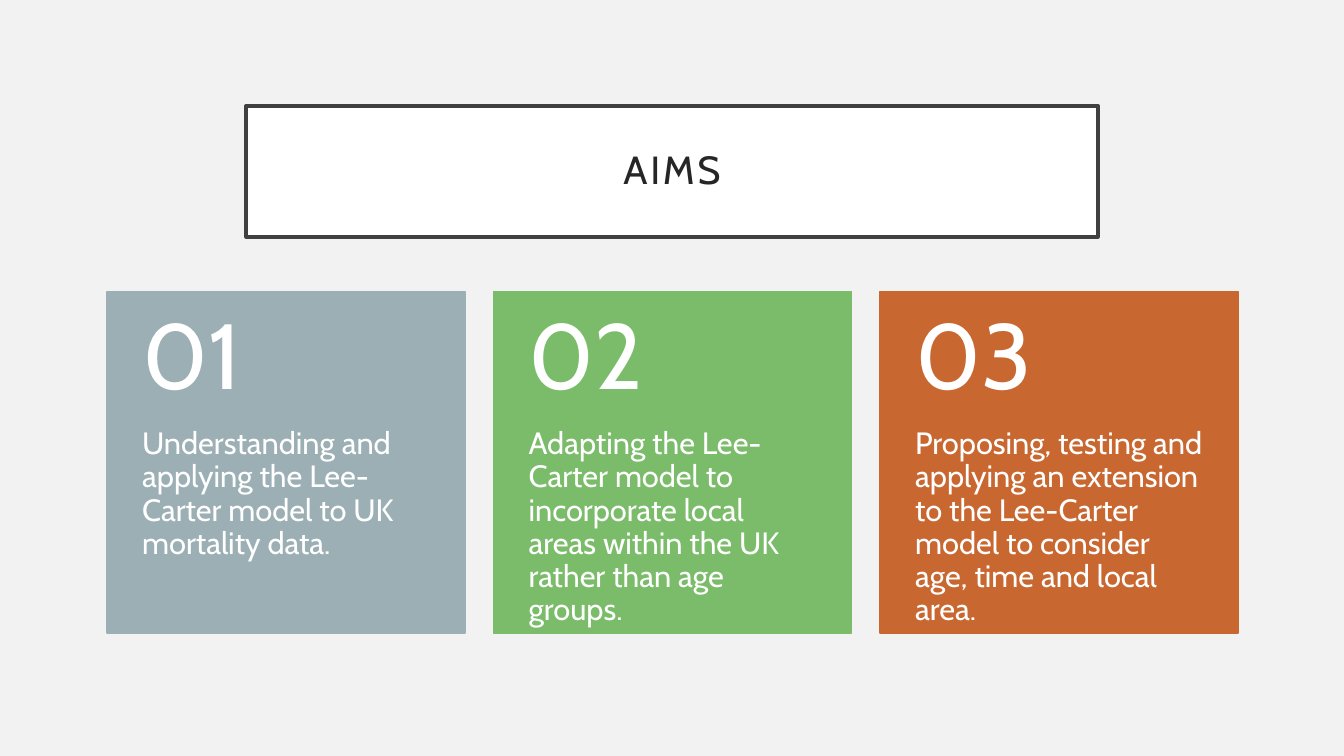
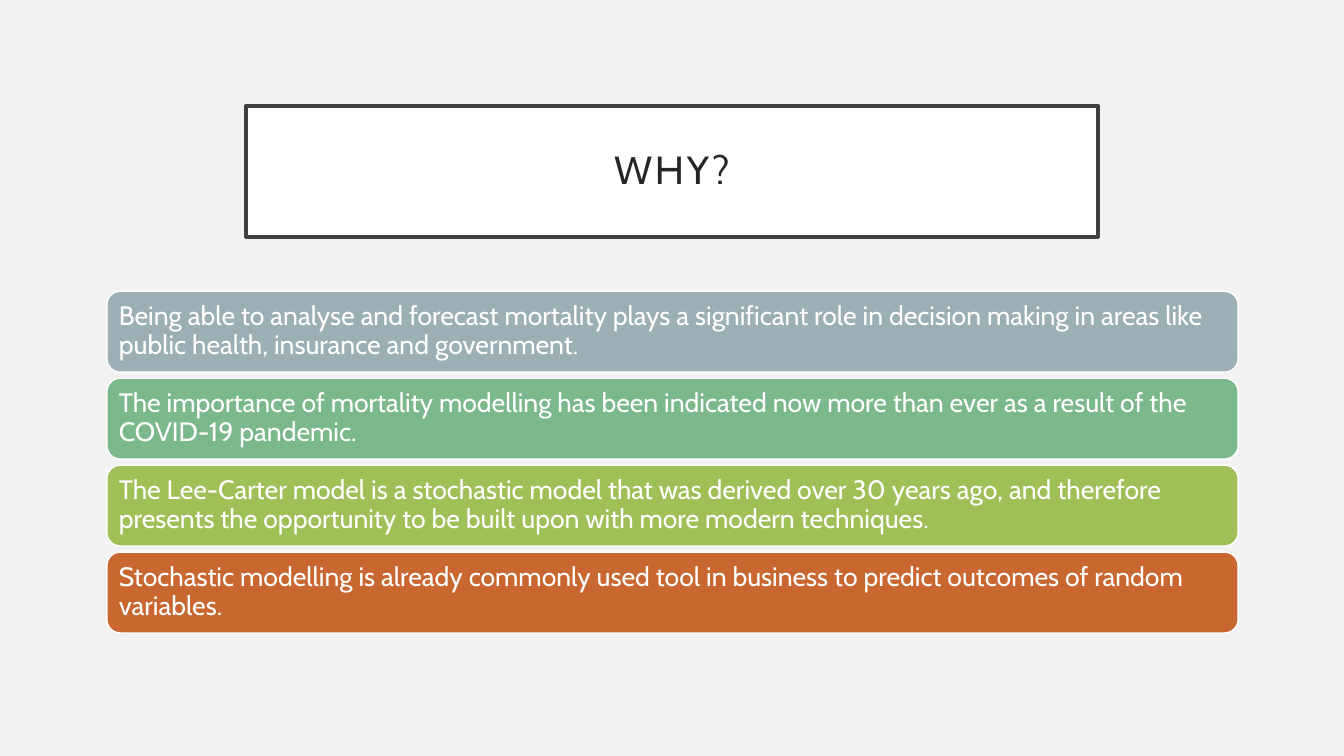
import pptx
import pptx.dml.color
import pptx.enum.shapes
import pptx.enum.text
import pptx.util

SHAPES = pptx.enum.shapes.MSO_SHAPE
ANCHOR = pptx.enum.text.MSO_ANCHOR
ALIGN = pptx.enum.text.PP_ALIGN

AIMS = [
    ("9BAFB5", "Understanding and applying the Lee-Carter model to UK mortality data."),
    ("7ABC69", "Adapting the Lee-Carter model to incorporate local areas within the UK rather than age groups."),
    ("C96731", "Proposing, testing and applying an extension to the Lee-Carter model to consider age, time and local area."),
]
REASONS = [
    ("9BAFB5", "Being able to analyse and forecast mortality plays a significant role in decision making in areas like public health, insurance and government."),
    ("7BB88C", "The importance of mortality modelling has been indicated now more than ever as a result of the COVID-19 pandemic."),
    ("9FC057", "The Lee-Carter model is a stochastic model that was derived over 30 years ago, and therefore presents the opportunity to be built upon with more modern techniques."),
    ("C96731", "Stochastic modelling is already commonly used tool in business to predict outcomes of random variables."),
]


def color(value):
    return pptx.dml.color.RGBColor.from_string(value)


def paint(shape, fill, line, line_width):
    shape.fill.solid()
    shape.fill.fore_color.rgb = color(fill)
    shape.line.color.rgb = color(line)
    shape.line.width = pptx.util.Pt(line_width)


def write(shape, text, size, ink="FFFFFF", font="Cabin", align=ALIGN.LEFT,
          anchor=ANCHOR.MIDDLE, insets=(0, 0, 0, 0), tracking=0):
    frame = shape.text_frame
    frame.word_wrap = True
    frame.auto_size = pptx.enum.text.MSO_AUTO_SIZE.NONE
    frame.vertical_anchor = anchor
    (frame.margin_left, frame.margin_top,
     frame.margin_right, frame.margin_bottom) = map(pptx.util.Inches, insets)
    paragraph = frame.paragraphs[0]
    paragraph.alignment = align
    paragraph.line_spacing = 0.9
    run = paragraph.add_run()
    run.text = text
    run.font.name = font
    run.font.size = pptx.util.Pt(size)
    run.font.color.rgb = color(ink)
    if tracking:
        run.font._element.set("spc", str(tracking * 100))


class Deck:
    width, height = 13.33, 7.5
    left, top, content_width, content_height = 1.06, 2.89, 11.22, 3.39
    title_box = (2.44, 1.05, 8.45, 1.3)

    def __init__(self):
        self.presentation = pptx.Presentation()
        self.presentation.slide_width = pptx.util.Inches(self.width)
        self.presentation.slide_height = pptx.util.Inches(self.height)
        background = self.presentation.slide_master.background.fill
        background.solid()
        background.fore_color.rgb = color("F2F2F2")
        self.slide = None

    def add_slide(self, title):
        layout = self.presentation.slide_layouts.get_by_name("Title Only")
        self.slide = self.presentation.slides.add_slide(layout)
        shape = self.slide.shapes.title
        shape.left, shape.top, shape.width, shape.height = map(pptx.util.Inches, self.title_box)
        paint(shape, "FFFFFF", "404040", 2.5)
        write(shape, title, 28, ink="262626", align=ALIGN.CENTER,
              insets=(0.2, 0.2, 0.2, 0.2), tracking=2)

    def cell(self, column=0, row=0, columns=1, rows=1, gap=0):
        width = (self.content_width - gap * (columns - 1)) / columns
        height = (self.content_height - gap * (rows - 1)) / rows
        return (self.left + column * (width + gap),
                self.top + row * (height + gap), width, height)

    def panel(self, box, fill, line, kind=SHAPES.RECTANGLE):
        shape = self.slide.shapes.add_shape(kind, *map(pptx.util.Inches, box))
        shape.shadow.inherit = False
        paint(shape, fill, line, 1)
        return shape

    def label(self, box, text, size, **style):
        shape = self.slide.shapes.add_textbox(*map(pptx.util.Inches, box))
        write(shape, text, size, **style)

    def card(self, box, number, text, fill):
        left, top, width, height = box
        number_height = height * 0.4
        self.panel(box, fill, fill)
        self.label((left, top + number_height, width, height - number_height), text, 22,
                   anchor=ANCHOR.TOP, insets=(0.35, 0, 0.35, 0.36))
        self.label((left, top, width, number_height), f"{number:02}", 66,
                   insets=(0.35, 0.18, 0.35, 0.18))

    def bar(self, box, text, fill):
        shape = self.panel(box, fill, "FFFFFF", SHAPES.ROUNDED_RECTANGLE)
        write(shape, text, 19, insets=(0.08, 0.08, 0.08, 0.08))


def main():
    deck = Deck()

    deck.add_slide("AIMS")
    for column, (fill, text) in enumerate(AIMS):
        box = deck.cell(column=column, columns=len(AIMS), gap=0.28)
        deck.card(box, column + 1, text, fill)

    deck.add_slide("WHY?")
    for row, (fill, text) in enumerate(REASONS):
        deck.bar(deck.cell(row=row, rows=len(REASONS), gap=0.06), text, fill)

    deck.presentation.save("out.pptx")


if __name__ == "__main__":
    main()
